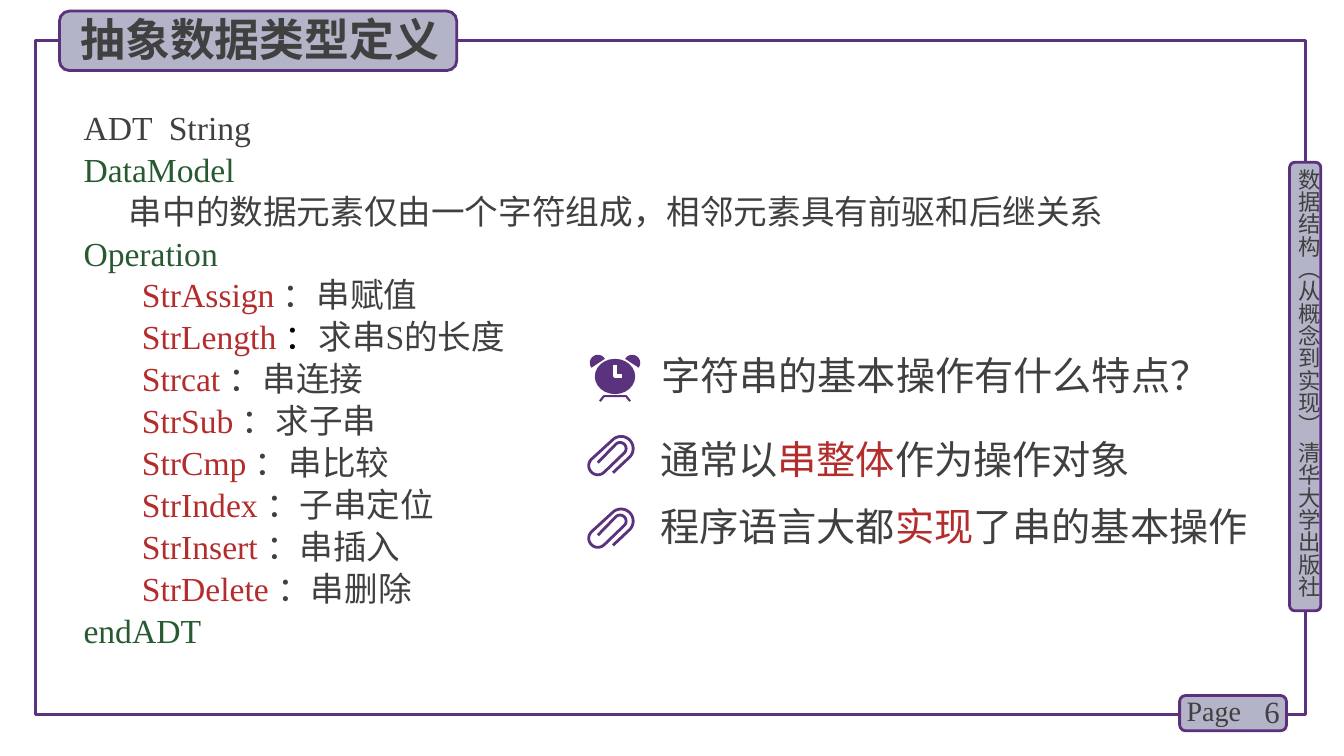
import math

import pptx
import pptx.dml.color
import pptx.enum.shapes
import pptx.enum.text
import pptx.oxml.ns
import pptx.util
from lxml import etree
from pptx.util import Inches

CJK = "Noto Sans CJK SC"
LATIN = "Times New Roman"
INK, GREEN, RED = "404040", "285A32", "B42D2D"
BLACK, WHITE = "000000", "FFFFFF"
PURPLE, BORDER, LAVENDER = "5A327D", "5C307D", "B4B4C8"

OPERATIONS = [
    ("StrAssign", [("：", LATIN, INK), ("串赋值", CJK, INK)]),
    ("StrLength", [("：", LATIN, BLACK), ("求串", CJK, INK),
                   ("S", LATIN, INK), ("的长度", CJK, INK)]),
    ("Strcat", [("：串连接", CJK, INK)]),
    ("StrSub", [("：求子串", CJK, INK)]),
    ("StrCmp", [("：串比较", CJK, INK)]),
    ("StrIndex", [("：子串定位", CJK, INK)]),
    ("StrInsert", [("：串插入", CJK, INK)]),
    ("StrDelete", [("：串删除", CJK, INK)]),
]


def rgb(value):
    return pptx.dml.color.RGBColor.from_string(value)


def paint(shape, fill=None, line=None, width=2):
    """Set fill and outline; None leaves that part empty."""
    shape.shadow.inherit = False
    for part, colour in ((shape.fill, fill), (shape.line.fill, line)):
        if colour:
            part.solid()
            part.fore_color.rgb = rgb(colour)
        else:
            part.background()
    if line:
        shape.line.width = pptx.util.Pt(width)


def add_box(slide, kind, area, fill, line, width=2):
    preset = getattr(pptx.enum.shapes.MSO_SHAPE, kind)
    box = slide.shapes.add_shape(preset, *map(Inches, area))
    paint(box, fill, line, width)


def add_run(paragraph, text, size, face, colour, bold=False):
    run = paragraph.add_run()
    run.text = text
    run.font.size = pptx.util.Pt(size)
    run.font.name = face
    run.font.bold = bold
    run.font.color.rgb = rgb(colour)
    east_asian = etree.SubElement(run.font._element, pptx.oxml.ns.qn("a:ea"))
    east_asian.set("typeface", CJK)


def add_frame(slide, area):
    frame = slide.shapes.add_textbox(*map(Inches, area)).text_frame
    frame.word_wrap = True
    return frame


def add_label(slide, area, runs, size, face=CJK, bold=False):
    """One-line text made of (text, colour) runs."""
    frame = add_frame(slide, area)
    for text, colour in runs:
        add_run(frame.paragraphs[0], text, size, face, colour, bold)
    return frame


def arc(x, y, radius, start, end, steps=24):
    """Points on a circle, angles in degrees, clockwise from the right."""
    angles = [math.radians(start + (end - start) * i / steps) for i in range(steps + 1)]
    return [(x + radius * math.cos(a), y + radius * math.sin(a)) for a in angles]


def add_path(slide, points, fill=None, line=None, width=2):
    corners = [(Inches(x), Inches(y)) for x, y in points]
    builder = slide.shapes.build_freeform(*corners[0])
    builder.add_line_segments(corners[1:], close=fill is not None)
    paint(builder.convert_to_shape(), fill, line, width)


def add_clock(slide):
    add_path(slide, [(5.95, 3.98), (5.99, 3.93), (6.21, 3.93), (6.25, 3.98)],
             line=PURPLE, width=1.5)
    add_path(slide, arc(5.93, 3.6, 0.08, 143, 330), fill=PURPLE)
    add_path(slide, arc(6.27, 3.6, 0.08, 37, -150), fill=PURPLE)
    add_box(slide, "OVAL", (5.9, 3.56, 0.4, 0.35), PURPLE, None)
    add_path(slide, [(6.1, 3.62), (6.1, 3.73), (6.17, 3.73)], line=WHITE, width=2.25)


def add_paperclip(slide, top):
    wire = [(6.08, top + 0.37)]
    wire += arc(6.16, top + 0.13, 0.12, 45, -135)
    wire += arc(5.93, top + 0.3, 0.09, -135, -315)
    wire += arc(6.15, top + 0.13, 0.06, 45, -135)
    wire.append((5.93, top + 0.27))
    add_path(slide, wire, line=PURPLE)


def add_definition(slide):
    """The ADT listing: (indent, runs) for each line."""
    lines = [
        (0, [("ADT  String", LATIN, INK)]),
        (0, [("DataModel", LATIN, GREEN)]),
        (0.45, [("串中的数据元素仅由一个字符组成，相邻元素具有前驱和后继关系", LATIN, INK)]),
        (0, [("Operation", LATIN, GREEN)]),
    ]
    lines += [(0.58, [(name + " ", LATIN, RED)] + meaning) for name, meaning in OPERATIONS]
    lines.append((0, [("endADT", LATIN, GREEN)]))

    frame = add_frame(slide, (0.73, 0.99, 11.49, 5.45))
    for number, (indent, runs) in enumerate(lines):
        paragraph = frame.add_paragraph() if number else frame.paragraphs[0]
        paragraph.line_spacing = pptx.util.Pt(30)
        properties = paragraph._p.get_or_add_pPr()
        properties.set("marL", str(Inches(indent)))
        properties.set("indent", "0")
        for text, face, colour in runs:
            add_run(paragraph, text, 24, face, colour)


def add_page_furniture(slide):
    add_box(slide, "RECTANGLE", (0.35, 0.4, 12.6, 6.69), None, PURPLE, 2.25)

    # Vertical book title
    add_box(slide, "ROUNDED_RECTANGLE", (12.79, 1.61, 0.31, 4.45), LAVENDER, BORDER)
    book = add_label(slide, (12.85, 1.67, 0.27, 4.49),
                     [("数据结构（从概念到实现） 清华大学出版社", INK)], 16)
    book.margin_left = book.margin_right = book.margin_top = book.margin_bottom = 0
    book._txBody.bodyPr.set("vert", "eaVert")

    # Page number
    add_box(slide, "ROUNDED_RECTANGLE", (11.7, 6.9, 1.06, 0.35), LAVENDER, BORDER)
    number = add_label(slide, (12.2, 6.86, 0.59, 0.4), [("6", INK)], 22, LATIN)
    number.vertical_anchor = pptx.enum.text.MSO_ANCHOR.MIDDLE
    number.paragraphs[0].alignment = pptx.enum.text.PP_ALIGN.RIGHT
    add_label(slide, (11.67, 6.83, 0.78, 0.44), [("Page", INK)], 20, LATIN)


def main():
    deck = pptx.Presentation()
    deck.slide_width, deck.slide_height = Inches(13.33), Inches(7.5)
    slide = deck.slides.add_slide(deck.slide_layouts[6])

    add_page_furniture(slide)

    # Heading
    add_box(slide, "ROUNDED_RECTANGLE", (0.59, 0.11, 3.94, 0.59), LAVENDER, BORDER)
    add_label(slide, (0.7, 0.07, 4.05, 0.64), [("抽象数据类型定义", INK)], 32, bold=True)

    add_definition(slide)

    # Question and its two answers
    add_label(slide, (6.46, 3.44, 5.76, 0.57), [("字符串的基本操作有什么特点？", INK)], 28)
    add_clock(slide)
    add_label(slide, (6.45, 4.27, 4.91, 0.57),
              [("通常以", INK), ("串整体", RED), ("作为操作对象", INK)], 28)
    add_paperclip(slide, 4.32)
    add_label(slide, (6.45, 4.93, 6.09, 0.57),
              [("程序语言大都", INK), ("实现", RED), ("了串的基本操作", INK)], 28)
    add_paperclip(slide, 5.04)

    deck.save("out.pptx")


if __name__ == "__main__":
    main()
